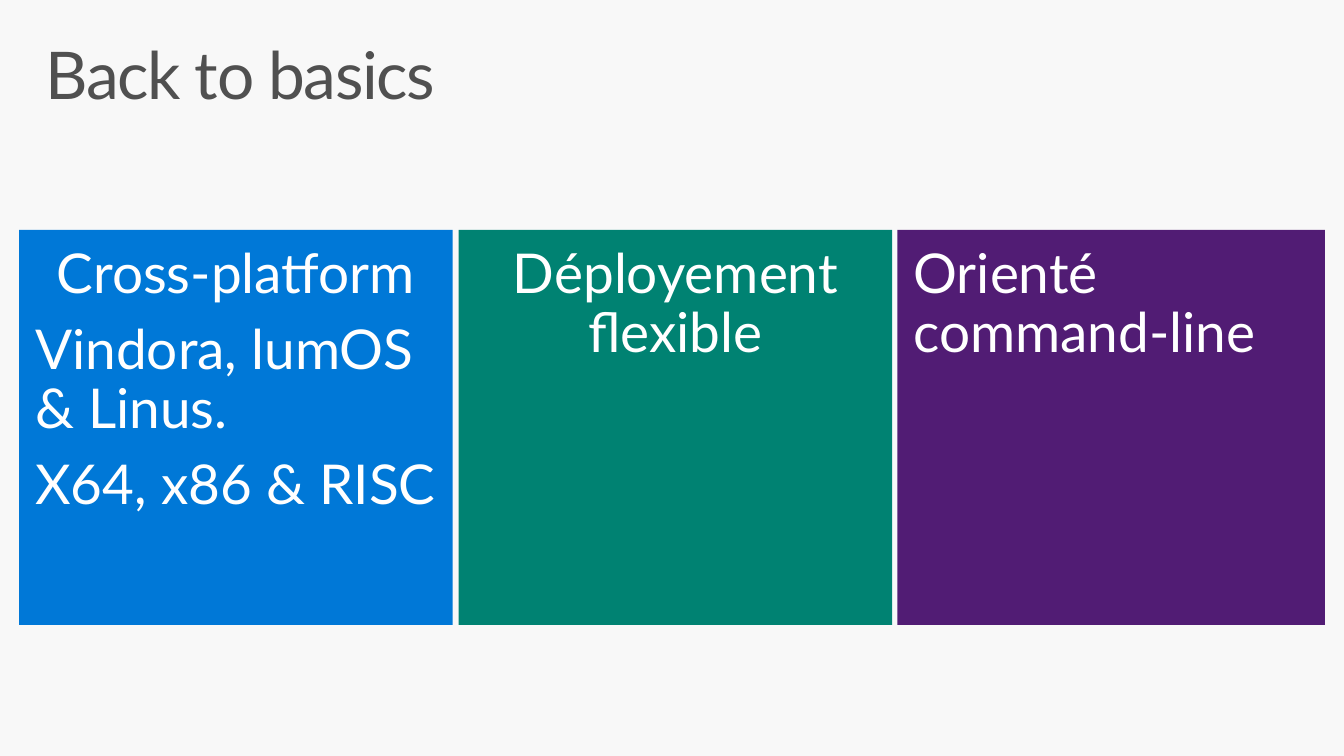
from pptx import Presentation
from pptx.dml.color import RGBColor
from pptx.enum.shapes import MSO_SHAPE
from pptx.enum.text import MSO_ANCHOR, PP_ALIGN
from pptx.util import Inches, Pt

RECTANGLE = MSO_SHAPE.RECTANGLE
TOP = MSO_ANCHOR.TOP
LEFT, CENTER = PP_ALIGN.LEFT, PP_ALIGN.CENTER

COLORS = {
    "background": "F8F8F8",
    "title": "505050",
    "text": "FFFFFF",
    "blue": "0078D7",
    "green": "008272",
    "purple": "511C74",
}
FONT = "Lato"

# Left edge, width, colour and (text, alignment) paragraphs of each panel
PANELS = [
    (0.19, 4.3, "blue", [("Cross-platform", CENTER),
                         ("Vindora, lumOS & Linus.", LEFT),
                         ("X64, x86 & RISC", LEFT)]),
    (4.55, 4.3, "green", [("Déployement flexible", CENTER)]),
    (8.9, 4.24, "purple", [("Orienté command-line", LEFT)]),
]


def rgb(name):
    return RGBColor.from_string(COLORS[name])


def add_text(paragraph, text, *, size, color, alignment=LEFT, before=0, tracking=None):
    paragraph.alignment = alignment
    paragraph.line_spacing = 0.9
    paragraph.space_before = Pt(before)
    run = paragraph.add_run()
    run.text = text
    run.font.name = FONT
    run.font.size = Pt(size)
    run.font.color.rgb = rgb(color)
    if tracking is not None:
        run.font._element.set("spc", str(int(tracking * 100)))


def prepare_frame(shape, vertical_inset):
    frame = shape.text_frame
    frame.word_wrap = True
    frame.vertical_anchor = TOP
    frame.margin_left = frame.margin_right = Inches(0.16)
    frame.margin_top = frame.margin_bottom = Inches(vertical_inset)
    return frame


def add_title(slide, text):
    box = slide.shapes.add_textbox(Inches(0.29), Inches(0.32), Inches(12.75), Inches(0.98))
    frame = prepare_frame(box, 0.1)
    add_text(frame.paragraphs[0], text, size=47, color="title", tracking=-1)


def add_panel(slide, left, width, color, lines):
    shape = slide.shapes.add_shape(
        RECTANGLE, Inches(left), Inches(2.28), Inches(width), Inches(3.92))
    shape.shadow.inherit = False
    shape.fill.solid()
    shape.fill.fore_color.rgb = rgb(color)
    shape.line.fill.background()
    frame = prepare_frame(shape, 0.16)
    for index, (text, alignment) in enumerate(lines):
        paragraph = frame.add_paragraph() if index else frame.paragraphs[0]
        add_text(paragraph, text, size=39.2, color="text",
                 alignment=alignment, before=12 if index else 0)


def main():
    presentation = Presentation()
    presentation.slide_width = Inches(13.33)
    presentation.slide_height = Inches(7.5)
    slide = presentation.slides.add_slide(presentation.slide_layouts[6])

    # Background
    slide.background.fill.solid()
    slide.background.fill.fore_color.rgb = rgb("background")

    # Title and the three panels
    add_title(slide, "Back to basics")
    for panel in PANELS:
        add_panel(slide, *panel)

    presentation.save("out.pptx")


if __name__ == "__main__":
    main()
